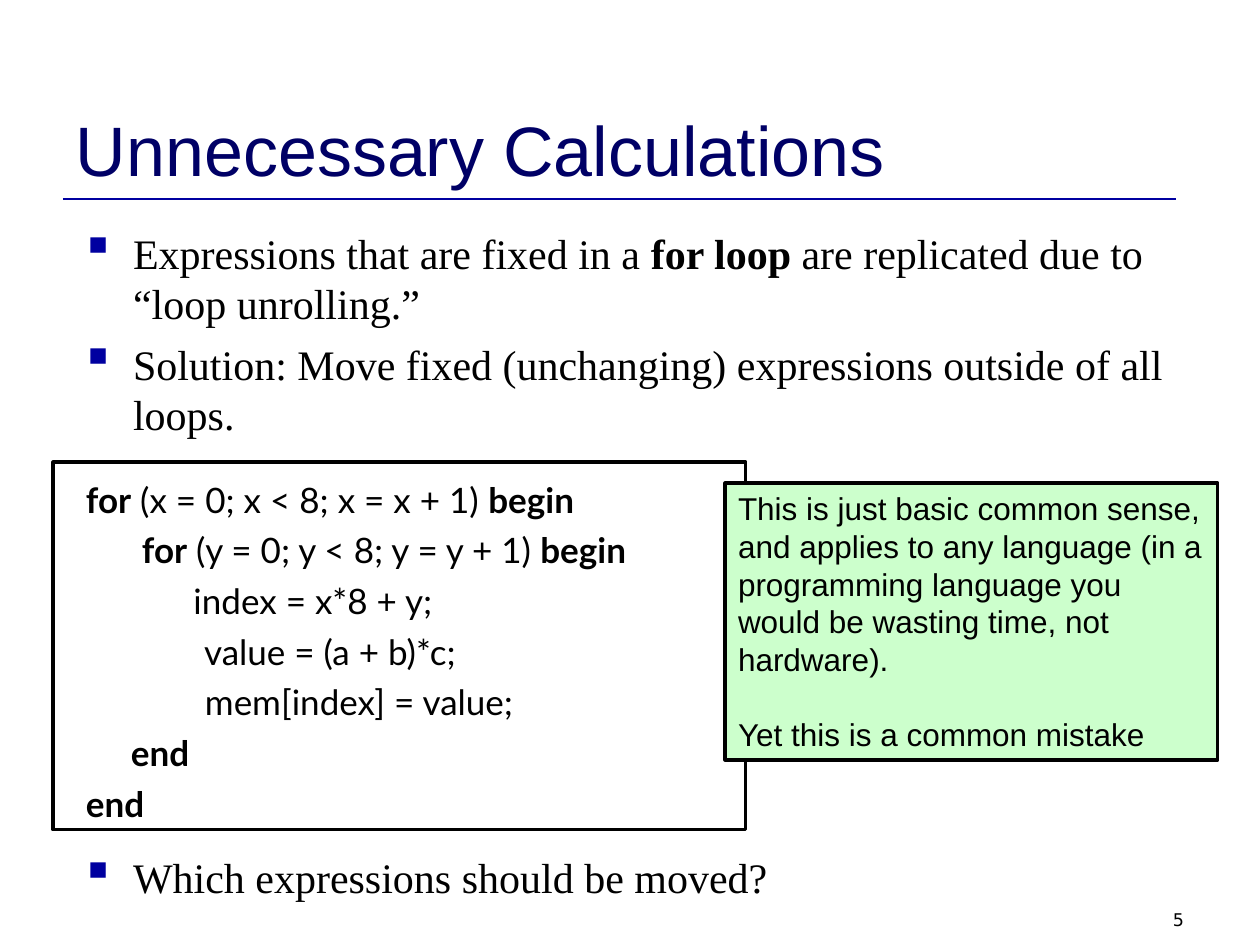
import pptx
import pptx.util
import pptx.dml.color
import pptx.enum.shapes
import pptx.enum.text
from lxml import etree
from pptx.oxml.ns import qn

PX = 7258  # EMU per px, 126 px to the inch
SIZE = (1260, 945)

THEME = {
    "navy": "000066", "blue": "0000A0", "black": "000000", "mint": "CCFFCC",
    "title": ("Arial", 40), "body": ("Times New Roman", 24),
    "code": ("Lato", 20), "note": ("Arial", 18), "page": ("DejaVu Sans", 10),
}

# A paragraph is a list of pieces; every second piece is bold.
TITLE = [["Unnecessary Calculations"]]
POINTS = [
    ["Expressions that are fixed in a ", "for loop",
     " are replicated due to “loop unrolling.”"],
    ["Solution: Move fixed (unchanging) expressions outside of all loops."],
]
CODE = [
    ["", "for", " (x = 0; x < 8; x = x + 1) ", "begin"],
    ["\t ", "for", " (y = 0; y < 8; y = y + 1) ", "begin"],
    ["            index = x*8 + y;"],
    ["\t\t value = (a + b)*c;"],
    ["\t\t mem[index] = value;"],
    ["     ", "end"],
    ["", "end"],
]
NOTE = [
    ["This is just basic common sense, and applies to any language (in a "
     "programming language you would be wasting time, not hardware)."],
    ["Yet this is a common mistake"],
]
ASK = [["Which expressions should be moved?"]]
PAGE = [["5"]]

RULE = (63, 199, 1176)
BOX = {
    "title": (63, 38, 1134, 159),
    "points": (73, 221, 1134, 230),
    "code": (53, 462, 693, 368),
    "note": (725, 483, 493, 277),
    "ask": (73, 846, 1134, 62),
    "page": (903, 903, 294, 32),
}
HANG = 47
TAB = 126


def px(num):
    return pptx.util.Emu(num * PX)


def rgb(name):
    return pptx.dml.color.RGBColor.from_string(THEME[name])


def mark(para):
    """Give the paragraph a small square bullet."""
    props = para._p.get_or_add_pPr()
    tint = etree.SubElement(props, qn("a:buClr"))
    etree.SubElement(tint, qn("a:srgbClr"), val=THEME["blue"])
    etree.SubElement(props, qn("a:buSzPct"), val="125000")
    etree.SubElement(props, qn("a:buFont"), typeface="Wingdings",
                     charset="2")
    etree.SubElement(props, qn("a:buChar"), char="§")


def stops(para):
    """Set tab stops one inch apart."""
    tabs = etree.SubElement(para._p.get_or_add_pPr(), qn("a:tabLst"))
    for num in range(8):
        etree.SubElement(tabs, qn("a:tab"), pos=str(px(num * TAB)), algn="l")


def write(shape, paras, style, color="black", align="LEFT", anchor="TOP",
          gap=0, hang=0, bullet=False, tabs=False, pad=(13, 6)):
    frame = shape.text_frame
    frame.word_wrap = True
    frame.vertical_anchor = getattr(pptx.enum.text.MSO_ANCHOR, anchor)
    frame.margin_left, frame.margin_top = px(pad[0]), px(pad[1])
    frame.margin_right, frame.margin_bottom = px(13), px(6)
    face, size = THEME[style]
    for num, parts in enumerate(paras):
        para = frame.paragraphs[0] if num == 0 else frame.add_paragraph()
        para.alignment = getattr(pptx.enum.text.PP_ALIGN, align)
        if num and gap:
            para.space_before = pptx.util.Pt(gap)
        if hang:
            props = para._p.get_or_add_pPr()
            props.set("marL", str(px(hang)))
            props.set("indent", str(px(-hang)))
        if bullet:
            mark(para)
        if tabs:
            stops(para)
        for turn, text in enumerate(parts):
            if not text:
                continue
            run = para.add_run()
            run.text = text
            run.font.name = face
            run.font.size = pptx.util.Pt(size)
            run.font.bold = turn % 2 == 1
            run.font.color.rgb = rgb(color)


def label(slide, name, paras, style, **look):
    box = slide.shapes.add_textbox(*map(px, BOX[name]))
    write(box, paras, style, **look)


def panel(slide, name, fill=None):
    kind = pptx.enum.shapes.MSO_SHAPE.RECTANGLE
    shape = slide.shapes.add_shape(kind, *map(px, BOX[name]))
    shape.shadow.inherit = False
    if fill:
        shape.fill.solid()
        shape.fill.fore_color.rgb = rgb(fill)
    else:
        shape.fill.background()
    shape.line.color.rgb = rgb("black")
    shape.line.width = pptx.util.Pt(1.75)
    return shape


def rule(slide):
    left, top, right = map(px, RULE)
    kind = pptx.enum.shapes.MSO_CONNECTOR.STRAIGHT
    line = slide.shapes.add_connector(kind, left, top, right, top)
    line.line.color.rgb = rgb("blue")
    line.line.width = pptx.util.Pt(1.5)
    etree.SubElement(line._element.spPr, qn("a:effectLst"))


def main():
    deck = pptx.Presentation()
    deck.slide_width, deck.slide_height = map(px, SIZE)
    slide = deck.slides.add_slide(deck.slide_layouts[6])
    rule(slide)
    label(slide, "page", PAGE, "page", align="RIGHT")
    label(slide, "title", TITLE, "title", color="navy", anchor="BOTTOM")
    points = {"gap": 6, "hang": HANG, "bullet": True}
    label(slide, "points", POINTS, "body", **points)
    write(panel(slide, "code"), CODE, "code", gap=5, hang=HANG, tabs=True,
          pad=(33, 16))
    write(panel(slide, "note", "mint"), NOTE, "note", gap=21)
    label(slide, "ask", ASK, "body", **points)
    deck.save("out.pptx")


if __name__ == "__main__":
    main()
